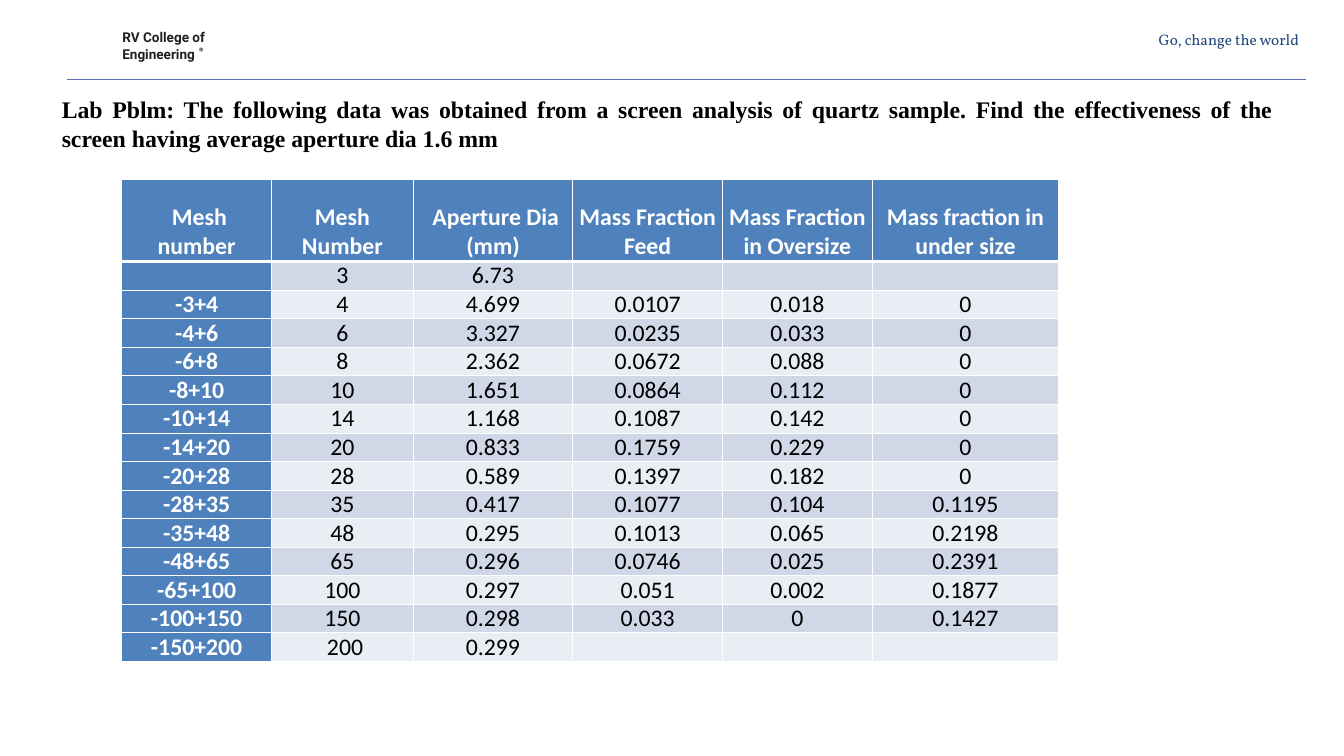
from dataclasses import dataclass

from lxml.etree import SubElement
from pptx import Presentation
from pptx.dml.color import RGBColor
from pptx.enum.shapes import MSO_CONNECTOR, MSO_SHAPE
from pptx.enum.text import MSO_ANCHOR, MSO_AUTO_SIZE, PP_ALIGN
from pptx.oxml.ns import qn
from pptx.util import Inches, Pt

COLLEGE = ["RV College of", "Engineering"]
TAGLINE = ["Go, change the world"]
PROBLEM = [
    "Lab Pblm: The following data was obtained from a screen analysis of quartz sample. "
    "Find the effectiveness of the screen having average aperture dia 1.6 mm"
]
HEADER = (" Mesh number", "Mesh Number", " Aperture Dia (mm)", "Mass Fraction Feed",
          "Mass Fraction in Oversize", "Mass fraction in under size")
SCREENS = [
    ("", "3", "6.73", "", "", ""),
    ("-3+4", "4", "4.699", "0.0107", "0.018", "0"),
    ("-4+6", "6", "3.327", "0.0235", "0.033", "0"),
    ("-6+8", "8", "2.362", "0.0672", "0.088", "0"),
    ("-8+10", "10", "1.651", "0.0864", "0.112", "0"),
    ("-10+14", "14", "1.168", "0.1087", "0.142", "0"),
    ("-14+20", "20", "0.833", "0.1759", "0.229", "0"),
    ("-20+28", "28", "0.589", "0.1397", "0.182", "0"),
    ("-28+35", "35", "0.417", "0.1077", "0.104", "0.1195"),
    ("-35+48", "48", "0.295", "0.1013", "0.065", "0.2198"),
    ("-48+65", "65", "0.296", "0.0746", "0.025", "0.2391"),
    ("-65+100", "100", "0.297", "0.051", "0.002", "0.1877"),
    ("-100+150", "150", "0.298", "0.033", "0", "0.1427"),
    ("-150+200", " 200", "0.299", "", "", ""),
]

WIDTH, HEIGHT = Inches(21.99), Inches(12.37)
COLLEGE_AREA = (9.1, 3.85, 6.82, 4.37)
RING_AREA = (14.83, 6.31, 0.27, 0.49)
TAGLINE_AREA = (78.82, 3.64, 18.28, 4.12)
PROBLEM_AREA = (4.15, 12.15, 90.95, 8.41)
RULE_AREA = (5.01, 10.51, 92.13, 0)
TABLE_CORNER = (9.06, 23.75)
COLUMN_SHARES = (11.14, 10.55, 11.87, 11.14, 11.14, 13.87)
ROW_SHARES = (10.83, 3.8) + (3.48,) * (len(SCREENS) - 1)
LETTER_OUTLINE = ((30, 22), (58, 22), (70, 32), (70, 44), (60, 52), (72, 78), (62, 78),
                  (50, 54), (40, 54), (40, 78), (30, 78))
LETTER_HOLE = ((40, 30), (56, 30), (61, 38), (56, 46), (40, 46))


@dataclass(frozen=True)
class Theme:
    ink: str = "000000"
    paper: str = "FFFFFF"
    college: str = "231F20"
    tagline: str = "1F497D"
    rule: str = "5E6DB3"
    heading: str = "4F81BD"
    bands: tuple = ("D0D8E8", "E9EDF4")
    body_size: float = 28
    tagline_size: float = 18
    college_size: float = 16
    grid_line: float = 1
    header_line: float = 3


THEME = Theme()


def across(share):
    return round(WIDTH * share / 100)


def down(share):
    return round(HEIGHT * share / 100)


def place(area):
    left, top, width, height = area
    return across(left), down(top), across(width), down(height)


def add_span(para, text, font, size, color, bold):
    span = para.add_run()
    span.text = text
    span.font.name = font
    span.font.size = Pt(size)
    span.font.bold = bold
    span.font.color.rgb = RGBColor.from_string(color)


def add_text(page, area, lines, font, size, color, bold=False, align=PP_ALIGN.LEFT,
             grow=False, inset=None, spacing=None):
    box = page.shapes.add_textbox(*place(area))
    frame = box.text_frame
    frame.word_wrap = True
    frame.auto_size = MSO_AUTO_SIZE.SHAPE_TO_FIT_TEXT if grow else MSO_AUTO_SIZE.NONE
    if inset is not None:
        frame.margin_left = frame.margin_right = frame.margin_bottom = 0
        frame.margin_top = Inches(inset)
    for index, line in enumerate(lines):
        para = frame.add_paragraph() if index else frame.paragraphs[0]
        para.alignment = align
        if spacing:
            para.line_spacing = Pt(spacing)
        if index:
            para.space_before = Pt(1.4)
        add_span(para, line, font, size, color, bold)


def paint_mark(shape):
    shape.shadow.inherit = False
    shape.fill.solid()
    shape.fill.fore_color.rgb = RGBColor.from_string(THEME.college)
    shape.line.fill.background()


def add_registered_mark(page):
    left, top, width, height = place(RING_AREA)
    ring = page.shapes.add_shape(MSO_SHAPE.DONUT, left, top, width, height)
    ring.adjustments[0] = 0.1
    paint_mark(ring)
    outline, hole = ([(left + width * x / 100, top + height * y / 100) for x, y in points]
                     for points in (LETTER_OUTLINE, LETTER_HOLE))
    builder = page.shapes.build_freeform(*outline[0])
    builder.add_line_segments(outline[1:])
    builder.move_to(*hole[0])
    builder.add_line_segments(hole[1:])
    paint_mark(builder.convert_to_shape())


def add_rule(page):
    left, top, width, height = place(RULE_AREA)
    rule = page.shapes.add_connector(MSO_CONNECTOR.STRAIGHT, left, top, left + width, top + height)
    rule.line.color.rgb = RGBColor.from_string(THEME.rule)
    rule.line.width = Pt(1.25)
    SubElement(rule.element.spPr, qn("a:effectLst"))


def add_borders(cell, top, bottom):
    properties = cell._tc.get_or_add_tcPr()
    sides = {"a:lnL": THEME.grid_line, "a:lnR": THEME.grid_line, "a:lnT": top, "a:lnB": bottom}
    for side, width in sides.items():
        line = SubElement(properties, qn(side), w=str(Pt(width)))
        SubElement(SubElement(line, qn("a:solidFill")), qn("a:srgbClr"), val=THEME.paper)


def fill_cell(cell, row, column, text):
    heading = row == 0 or column == 0
    add_borders(cell,
                THEME.header_line if row == 1 else THEME.grid_line,
                THEME.header_line if row == 0 else THEME.grid_line)
    cell.fill.solid()
    fill = THEME.heading if heading else THEME.bands[(row - 1) % 2]
    cell.fill.fore_color.rgb = RGBColor.from_string(fill)
    cell.vertical_anchor = MSO_ANCHOR.BOTTOM
    cell.margin_left = cell.margin_right = Inches(0.06)
    cell.margin_top = cell.margin_bottom = 0
    if text:
        para = cell.text_frame.paragraphs[0]
        para.alignment = PP_ALIGN.CENTER
        color = THEME.paper if heading else THEME.ink
        add_span(para, text, "Calibri", THEME.body_size, color, heading)


def add_screen_table(page):
    rows = [HEADER, *SCREENS]
    area = (*TABLE_CORNER, sum(COLUMN_SHARES), sum(ROW_SHARES))
    table = page.shapes.add_table(len(rows), len(HEADER), *place(area)).table
    for column, share in zip(table.columns, COLUMN_SHARES):
        column.width = across(share)
    for row, share in zip(table.rows, ROW_SHARES):
        row.height = down(share)
    for row, texts in enumerate(rows):
        for column, text in enumerate(texts):
            fill_cell(table.cell(row, column), row, column, text)


def main():
    deck = Presentation()
    deck.slide_width, deck.slide_height = WIDTH, HEIGHT
    page = deck.slides.add_slide(deck.slide_layouts[6])
    add_rule(page)
    add_registered_mark(page)
    add_text(page, COLLEGE_AREA, COLLEGE, "Roboto", THEME.college_size, THEME.college,
             bold=True, grow=True, inset=0.02, spacing=17.9)
    add_text(page, TAGLINE_AREA, TAGLINE, "Vollkorn", THEME.tagline_size, THEME.tagline,
             align=PP_ALIGN.RIGHT)
    add_text(page, PROBLEM_AREA, PROBLEM, "Times New Roman", THEME.body_size, THEME.ink,
             bold=True, align=PP_ALIGN.JUSTIFY, grow=True)
    add_screen_table(page)
    deck.save("out.pptx")


if __name__ == "__main__":
    main()
